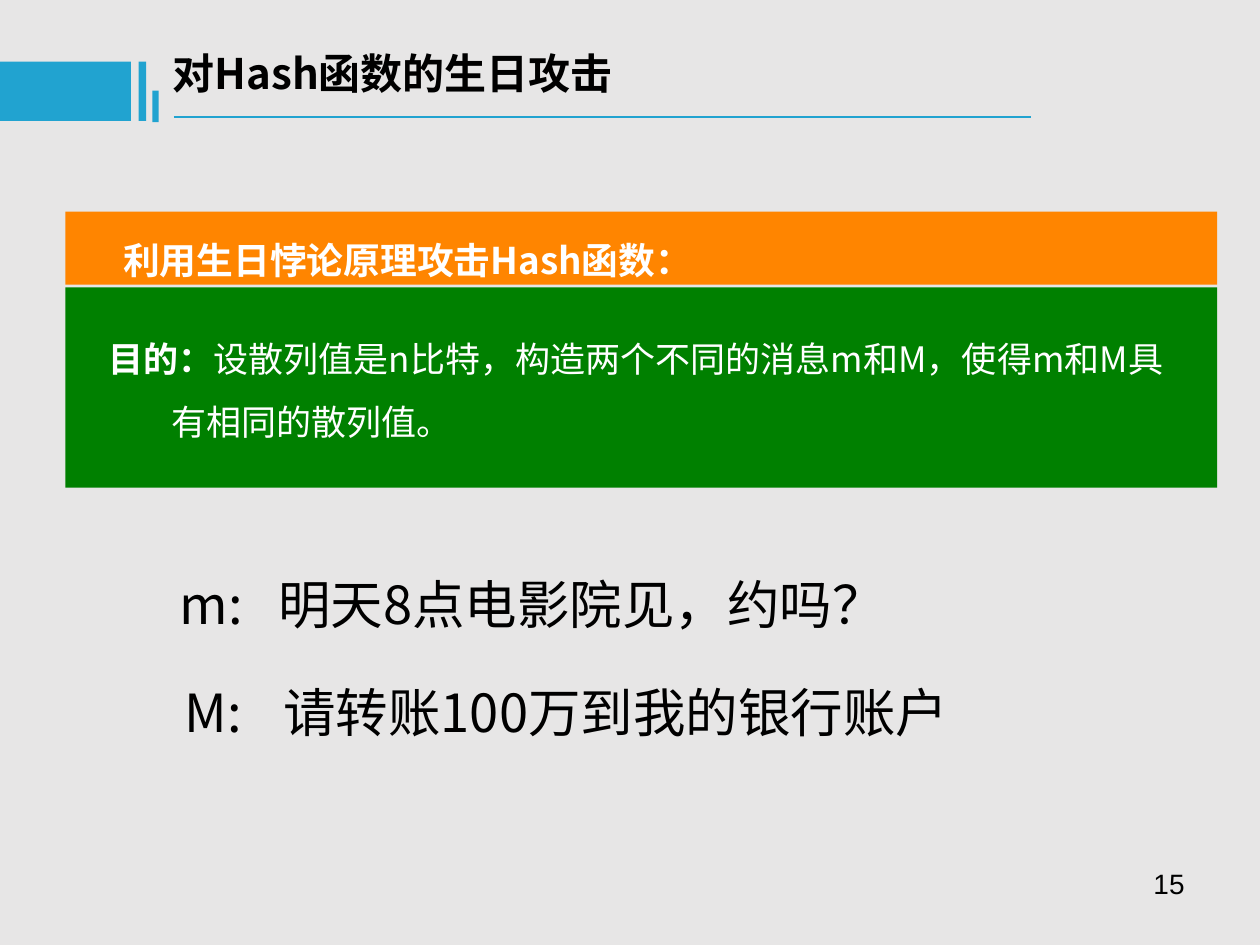
from lxml.etree import SubElement
from pptx import Presentation
from pptx.dml.color import RGBColor
from pptx.enum.shapes import MSO_CONNECTOR, MSO_SHAPE
from pptx.enum.text import MSO_ANCHOR, MSO_AUTO_SIZE, PP_ALIGN
from pptx.oxml.ns import qn
from pptx.util import Inches, Pt

SANS = "Noto Sans CJK SC"
BLUE, GREEN, ORANGE = "21A3D0", "008000", "FF8500"
BLACK, WHITE, GREY = "000000", "FFFFFF", "E7E6E6"


def color(hex_string):
    return RGBColor.from_string(hex_string)


def set_attributes(target, values):
    for name, value in values.items():
        setattr(target, name, value)


def add_block(slide, box, fill):
    shape = slide.shapes.add_shape(MSO_SHAPE.RECTANGLE, *map(Inches, box))
    shape.shadow.inherit = False
    shape.fill.solid()
    shape.fill.fore_color.rgb = color(fill)
    shape.line.fill.background()


def write_text(shape, runs, size, fill=BLACK, font=SANS, wrap=True, **paragraph_format):
    """Fill a shape with one paragraph of (text, bold) runs."""
    frame = shape.text_frame
    set_attributes(frame, {
        "word_wrap": wrap, "auto_size": MSO_AUTO_SIZE.NONE,
        "vertical_anchor": MSO_ANCHOR.TOP,
        "margin_left": Inches(0.1), "margin_right": Inches(0.1),
        "margin_top": Inches(0.05), "margin_bottom": Inches(0.05),
    })
    paragraph = frame.paragraphs[0]
    set_attributes(paragraph, {"alignment": PP_ALIGN.LEFT, **paragraph_format})
    for text, bold in runs:
        run = paragraph.add_run()
        run.text = text
        set_attributes(run.font, {"name": font, "size": Pt(size), "bold": bold})
        run.font.color.rgb = color(fill)
        SubElement(run.font._element, qn("a:ea"), typeface=font)
    return paragraph


def add_text(slide, box, runs, size, **text_format):
    shape = slide.shapes.add_textbox(*map(Inches, box))
    return write_text(shape, runs, size, **text_format)


def add_header(slide, left, top, title):
    # Blue bars
    for offset, drop, width, height in [
        (0, 0, 1.04, 0.47), (1.1, 0, 0.06, 0.47), (1.21, 0.23, 0.05, 0.25),
    ]:
        add_block(slide, (left + offset, top + drop, width, height), BLUE)

    # Rule under the title
    rule_y = Inches(top + 0.44)
    rule = slide.shapes.add_connector(
        MSO_CONNECTOR.STRAIGHT, Inches(left + 1.38), rule_y, Inches(left + 8.18), rule_y)
    rule.line.color.rgb = color(BLUE)
    rule.line.width = Pt(1.5)
    SubElement(rule._element.spPr, qn("a:effectLst"))

    # Title
    set_attributes(slide.shapes.title, {
        "left": Inches(left + 1.27), "top": Inches(top - 0.16),
        "width": Inches(6.84), "height": Inches(0.5),
    })
    write_text(slide.shapes.title, [(title, True)], 24)


def add_goal_panel(slide, left, top, width, heading, label, goal):
    # Green body
    add_block(slide, (left, top + 0.6, width, 1.59), GREEN)
    body = add_text(slide, (left + 0.24, top + 0.78, width - 0.47, 1.1),
                    [(label, True), (goal, False)], 20, fill=WHITE, line_spacing=1.5)
    properties = body._p.get_or_add_pPr()
    properties.set("marL", str(Inches(0.5)))
    properties.set("indent", str(-Inches(0.5)))

    # Orange heading
    add_block(slide, (left, top, width, 0.58), ORANGE)
    add_text(slide, (left + 0.36, top - 0.02, width - 0.6, 0.63),
             [(heading, True)], 21, fill=WHITE, line_spacing=1.5)


def add_message(slide, box, name, message):
    paragraph = add_text(slide, box, [(f"{name}:\t{message}", False)], 30, wrap=False)
    tabs = SubElement(paragraph._p.get_or_add_pPr(), qn("a:tabLst"))
    SubElement(tabs, qn("a:tab"), pos=str(Inches(0.78)), algn="l")


def main():
    presentation = Presentation()
    set_attributes(presentation, {"slide_width": Inches(10), "slide_height": Inches(7.5)})
    slide = presentation.slides.add_slide(presentation.slide_layouts[5])
    slide.background.fill.solid()
    slide.background.fill.fore_color.rgb = color(GREY)

    add_header(slide, 0, 0.49, "对Hash函数的生日攻击")
    add_goal_panel(slide, 0.52, 1.68, 9.14, "利用生日悖论原理攻击Hash函数：", "目的：",
                   "设散列值是n比特，构造两个不同的消息m和M，使得m和M具有相同的散列值。")

    # The two messages
    add_message(slide, (1.33, 4.49, 6.04, 0.6), "m", "明天8点电影院见，约吗？")
    add_message(slide, (1.37, 5.35, 6.5, 0.6), "M", "请转账100万到我的银行账户")

    # Slide number
    add_text(slide, (7.17, 6.83, 2.33, 0.52), [("15", False)], 16,
             font="Arial", alignment=PP_ALIGN.RIGHT)
    presentation.save("out.pptx")


if __name__ == "__main__":
    main()
